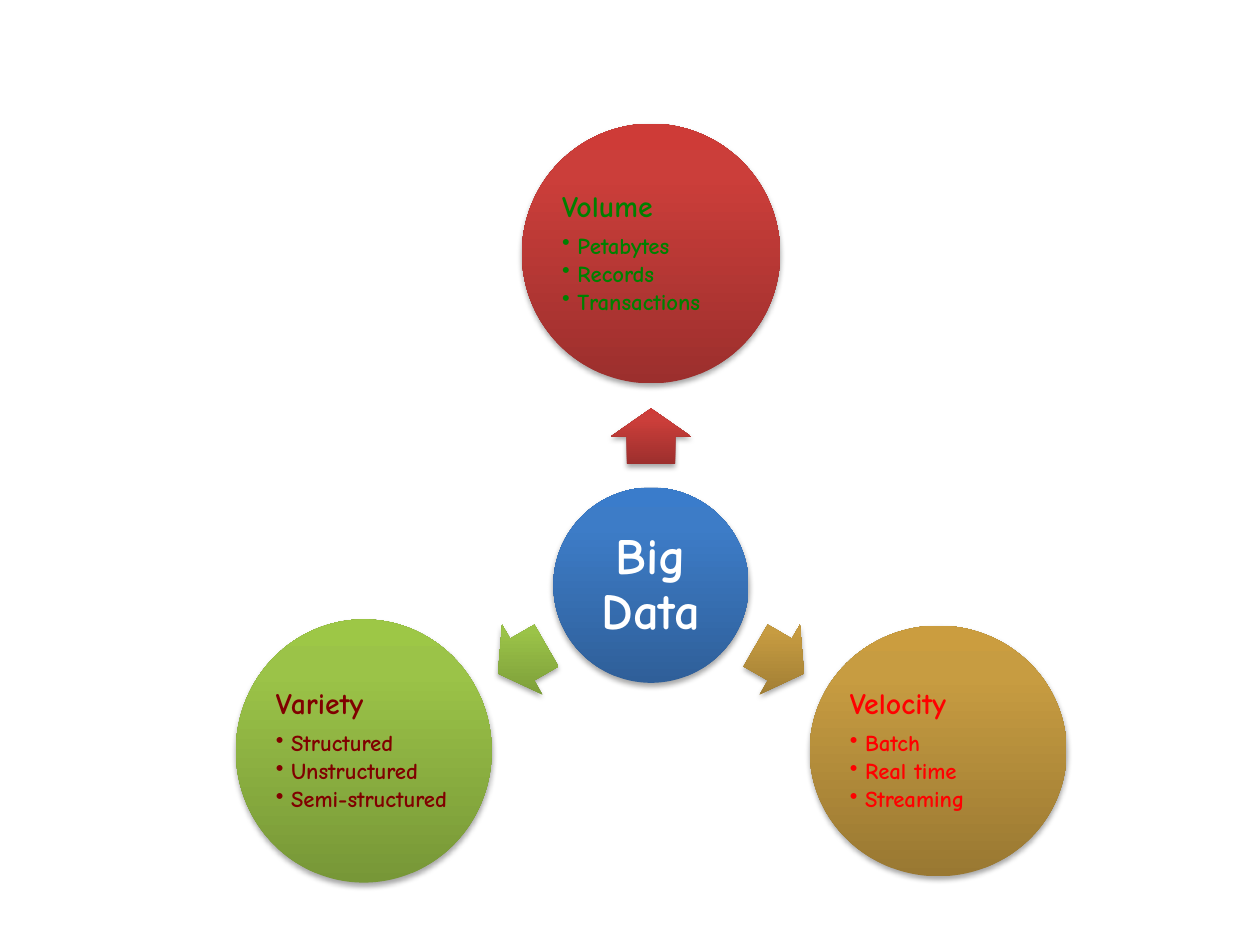
from math import cos, radians, sin, sqrt

from lxml import etree
from pptx import Presentation
from pptx.dml.color import RGBColor
from pptx.enum.shapes import MSO_SHAPE
from pptx.enum.text import MSO_ANCHOR, PP_ALIGN
from pptx.oxml import parse_xml
from pptx.oxml.ns import nsdecls, qn
from pptx.util import Pt

CIRCLE, ARROW = MSO_SHAPE.OVAL, MSO_SHAPE.RIGHT_ARROW
MIDDLE, LEFT, CENTER = MSO_ANCHOR.MIDDLE, PP_ALIGN.LEFT, PP_ALIGN.CENTER

FONT = "Comic Neue"
WHITE = RGBColor(0xFF, 0xFF, 0xFF)
GREEN = RGBColor(0x00, 0x80, 0x00)
RED = RGBColor(0xFF, 0x00, 0x00)
MAROON = RGBColor(0x80, 0x00, 0x00)


def shades(*hex_codes):
    return [RGBColor.from_string(code) for code in hex_codes]


# Gradient shades run from bottom to top
BLUE_SHADES = shades("2F5F99", "3D7CC7", "3A7CCB")
RED_SHADES = shades("9C2F2D", "CB3E3A", "CE3B37")
GOLD_SHADES = shades("997832", "C79C41", "CB9D3F")
LIME_SHADES = shades("779737", "9BC348", "9DC746")
STOPS = (0, 80, 100)

# Content: heading, bullets, text colour, shades, angle from hub, circle size
HUB = "Big Data"
DIMENSIONS = [
    ("Volume", ["Petabytes", "Records", "Transactions"],
     GREEN, RED_SHADES, 270, (147.6, 148.4)),
    ("Velocity", ["Batch", "Real time", "Streaming"],
     RED, GOLD_SHADES, 30, (146.8, 143.2)),
    ("Variety", ["Structured", "Unstructured", "Semi-structured"],
     MAROON, LIME_SHADES, 150, (146.2, 150.4)),
]

# Radial layout
HUB_CENTER = (372, 334.4)
HUB_SIZE = (111.6, 111.6)
CIRCLE_RADIUS = 189.5
ARROW_RADIUS = 85
ARROW_SIZE = (32, 46)
BULLET_INDENT = 8.64


def box(center, size):
    """Left, top, width and height of a box around its center."""
    (x, y), (width, height) = center, size
    return Pt(x - width / 2), Pt(y - height / 2), Pt(width), Pt(height)


def on_ring(radius, angle):
    x, y = HUB_CENTER
    return x + radius * cos(radians(angle)), y + radius * sin(radians(angle))


def add_shaded(slide, kind, center, size, colors):
    shape = slide.shapes.add_shape(kind, *box(center, size))
    shape.line.fill.background()
    stops = "".join(
        f'<a:gs pos="{stop * 1000}"><a:srgbClr val="{color}"/></a:gs>'
        for stop, color in zip(STOPS, colors))
    gradient = parse_xml(
        f'<a:gradFill {nsdecls("a")} rotWithShape="0"><a:gsLst>{stops}</a:gsLst>'
        '<a:lin ang="16200000" scaled="0"/></a:gradFill>')
    shadow = parse_xml(
        f'<a:effectLst {nsdecls("a")}><a:outerShdw blurRad="{Pt(3.1)}" '
        f'dist="{Pt(1.8)}" dir="5400000" rotWithShape="0"><a:srgbClr val="000000">'
        '<a:alpha val="35000"/></a:srgbClr></a:outerShdw></a:effectLst>')
    properties = shape.fill._xPr
    properties.find(qn("a:prstGeom")).addnext(gradient)
    properties.append(shadow)
    return shape


def add_inner_text(slide, center, size, inset):
    """Text frame in the largest box that fits inside a circle."""
    inner = [length / sqrt(2) for length in size]
    frame = slide.shapes.add_textbox(*box(center, inner)).text_frame
    frame.word_wrap = True
    frame.vertical_anchor = MIDDLE
    frame.margin_left = frame.margin_right = Pt(inset)
    frame.margin_top = frame.margin_bottom = Pt(inset)
    return frame


def write(paragraph, text, size, color, align=LEFT, after=0):
    paragraph.text = text
    paragraph.alignment = align
    paragraph.line_spacing = 0.9
    paragraph.space_after = Pt(after)
    font = paragraph.font
    font.name, font.size, font.bold = FONT, Pt(size), True
    font.color.rgb = color


def add_bullet(paragraph):
    paragraph.level = 1
    properties = paragraph._p.get_or_add_pPr()
    properties.set("marL", str(Pt(BULLET_INDENT)))
    properties.set("indent", str(-Pt(BULLET_INDENT)))
    bullet = etree.Element(qn("a:buChar"), char="•")
    properties.find(qn("a:defRPr")).addprevious(bullet)


def main():
    deck = Presentation()
    deck.slide_width, deck.slide_height = Pt(720), Pt(540)
    slide = deck.slides.add_slide(deck.slide_layouts[6])

    # Hub
    add_shaded(slide, CIRCLE, HUB_CENTER, HUB_SIZE, BLUE_SHADES)
    hub_text = add_inner_text(slide, HUB_CENTER, HUB_SIZE, 2.9)
    write(hub_text.paragraphs[0], HUB, 29, WHITE, CENTER)

    # Arrows and circles around the hub
    for heading, bullets, color, colors, angle, size in DIMENSIONS:
        arrow = add_shaded(slide, ARROW, on_ring(ARROW_RADIUS, angle),
                           ARROW_SIZE, colors)
        arrow.rotation = angle
        arrow.adjustments[0], arrow.adjustments[1] = 0.6, 0.5

        center = on_ring(CIRCLE_RADIUS, angle)
        add_shaded(slide, CIRCLE, center, size, colors)
        frame = add_inner_text(slide, center, size, 1.5)
        write(frame.paragraphs[0], heading, 17, color, after=6)
        for bullet in bullets:
            paragraph = frame.add_paragraph()
            write(paragraph, bullet, 13, color, after=2)
            add_bullet(paragraph)

    deck.save("out.pptx")


if __name__ == "__main__":
    main()
